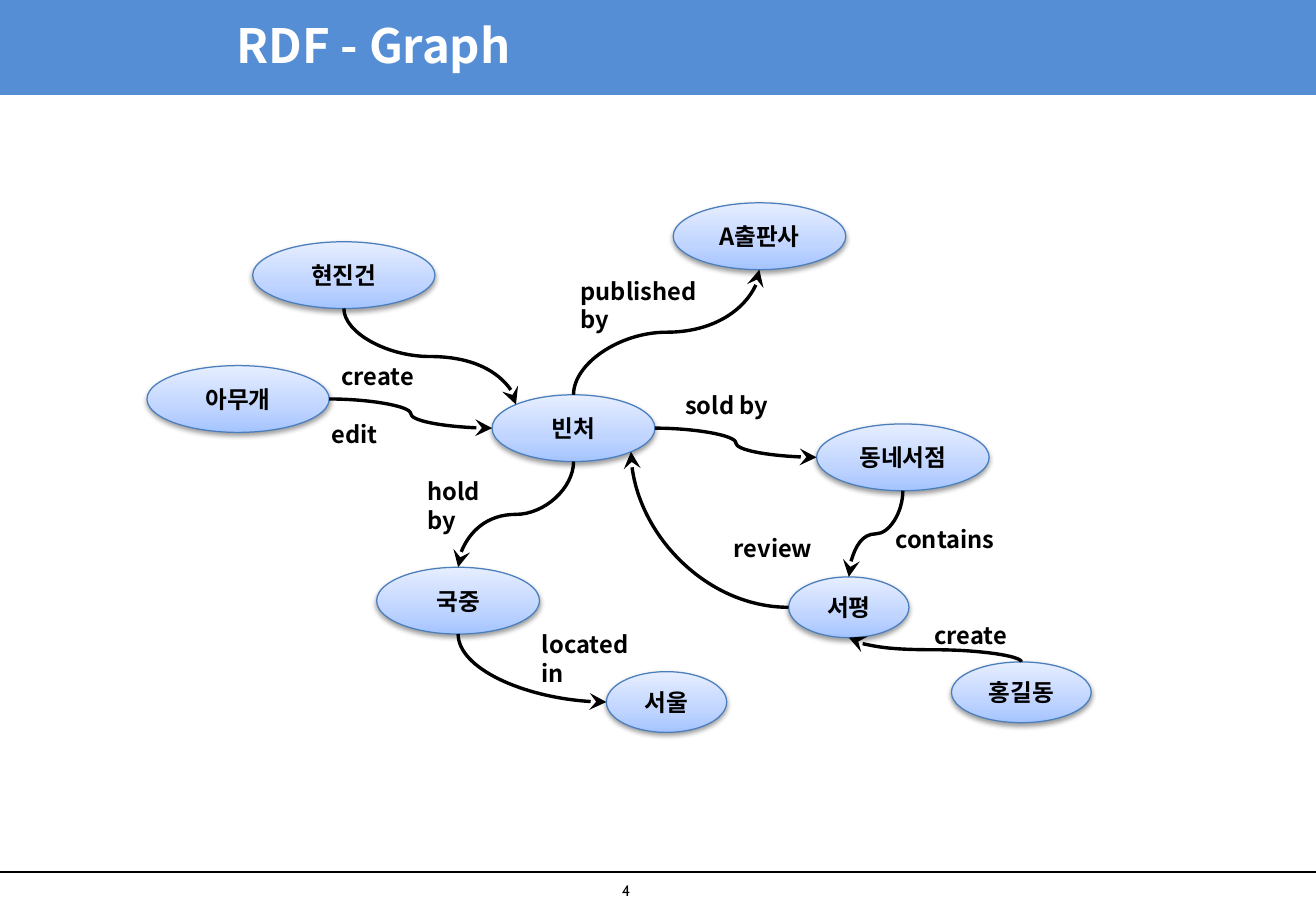
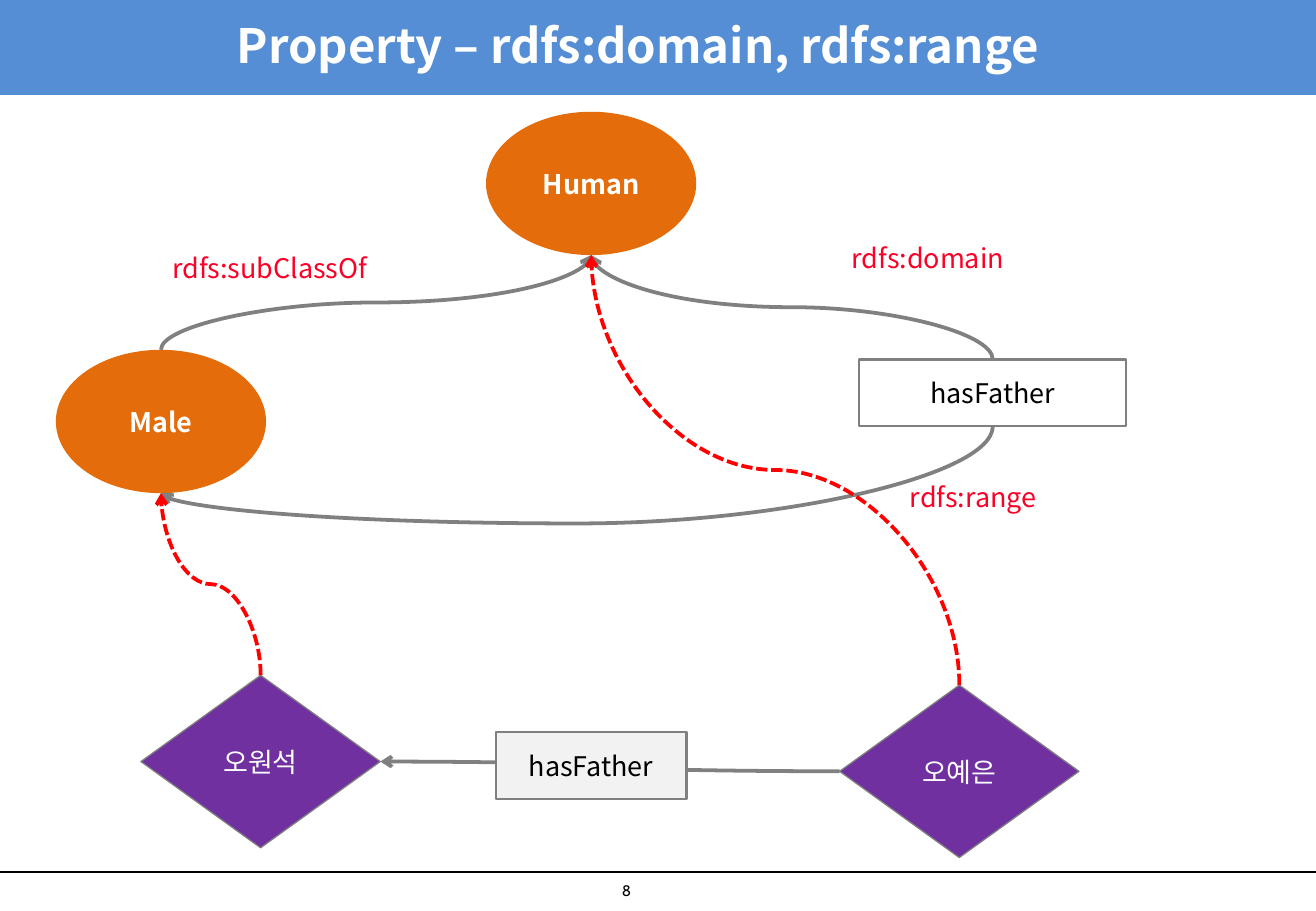
from dataclasses import dataclass
from math import sqrt
from typing import Any, Optional

import pptx
import pptx.dml.color
import pptx.enum.dml
import pptx.enum.shapes
import pptx.enum.text
import pptx.oxml.ns
import pptx.util
from lxml import etree

Inches = pptx.util.Inches
Pt = pptx.util.Pt
SHAPE = pptx.enum.shapes.MSO_SHAPE
CONNECTOR = pptx.enum.shapes.MSO_CONNECTOR
ANCHOR = pptx.enum.text.MSO_ANCHOR
ALIGN = pptx.enum.text.PP_ALIGN

WIDTH, HEIGHT = 10.83, 7.5
FONT, NUMBER_FONT = "Noto Sans CJK KR", "Cabin"
BLACK, WHITE, GRAY, RED = "000000", "FFFFFF", "808080", "FF0000"
BAND, LABEL_RED, ORANGE, PURPLE = "558ED5", "FC0128", "E46C0A", "7030A0"
NODE_STOPS = ((0, "A4C4FF"), (35, "BFD4FF"), (100, "E6EEFF"))
STEALTH_HEAD = {"type": "stealth", "w": "lg", "len": "lg"}
OPEN_HEAD = {"type": "arrow"}

# Connection sites: index and offset from the centre in half widths and heights
DIAGONAL = 1 / sqrt(2)
ELLIPSE_SITES = {
    "top": (0, 0, -1), "top left": (1, -DIAGONAL, -DIAGONAL), "left": (2, -1, 0),
    "bottom": (4, 0, 1), "bottom right": (5, DIAGONAL, DIAGONAL), "right": (6, 1, 0),
}
FOUR_SITES = {"top": (0, 0, -1), "left": (1, -1, 0), "bottom": (2, 0, 1), "right": (3, 1, 0)}


@dataclass(frozen=True)
class Style:
    kind: Any
    fill: Optional[str]
    line: Optional[str]
    line_pt: float
    size: int
    color: str
    bold: bool = False
    glossy: bool = False


@dataclass(frozen=True)
class Node:
    text: str
    x: float
    y: float
    w: float
    h: float
    style: Style


@dataclass(frozen=True)
class Label:
    text: str
    x: float
    y: float
    w: float
    h: float = 0.3


@dataclass(frozen=True)
class Curve:
    start: str
    start_side: str
    end: str
    end_side: str
    color: str = GRAY
    dashed: bool = False
    bend: Optional[float] = 0.5  # None gives a single quarter turn


RESOURCE = Style(SHAPE.OVAL, None, "4B7EBC", 0.75, 14, BLACK, True, True)
CLASS = Style(SHAPE.OVAL, ORANGE, None, 0, 16, WHITE, True)
PROPERTY = Style(SHAPE.RECTANGLE, None, GRAY, 1.25, 16, BLACK)
STATEMENT = Style(SHAPE.RECTANGLE, "F2F2F2", GRAY, 1.25, 16, BLACK)
INSTANCE = Style(SHAPE.DIAMOND, PURPLE, GRAY, 0.75, 16, WHITE)

GRAPH_NODES = {
    "book": Node("빈처", 4.05, 3.25, 1.34, 0.55, RESOURCE),
    "publisher": Node("A출판사", 5.54, 1.67, 1.42, 0.55, RESOURCE),
    "author": Node("현진건", 2.08, 1.99, 1.5, 0.55, RESOURCE),
    "store": Node("동네서점", 6.72, 3.49, 1.42, 0.55, RESOURCE),
    "library": Node("국중", 3.1, 4.67, 1.34, 0.55, RESOURCE),
    "city": Node("서울", 4.99, 5.53, 0.99, 0.5, RESOURCE),
    "editor": Node("아무개", 1.21, 3.01, 1.5, 0.55, RESOURCE),
    "review": Node("서평", 6.49, 4.75, 0.99, 0.5, RESOURCE),
    "reviewer": Node("홍길동", 7.83, 5.45, 1.15, 0.5, RESOURCE),
}
GRAPH_CURVES = (
    Curve("book", "right", "store", "left", BLACK),
    Curve("author", "bottom", "book", "top left", BLACK),
    Curve("book", "top", "publisher", "bottom", BLACK),
    Curve("book", "bottom", "library", "top", BLACK),
    Curve("library", "bottom", "city", "left", BLACK, bend=None),
    Curve("editor", "right", "book", "left", BLACK),
    Curve("store", "bottom", "review", "top", BLACK),
    Curve("reviewer", "top", "review", "bottom", BLACK),
    Curve("review", "left", "book", "bottom right", BLACK, bend=None),
)
GRAPH_LABELS = (
    Label("published by", 4.68, 2.23, 1.26, 0.5),
    Label("create", 2.71, 2.93, 1.18),
    Label("sold by", 5.54, 3.17, 1.02),
    Label("hold by", 3.42, 3.88, 0.65, 0.5),
    Label("located in", 4.36, 5.14, 1.02, 0.5),
    Label("edit", 2.63, 3.41, 1.18),
    Label("contains", 7.27, 4.27, 1.2),
    Label("create", 7.59, 5.06, 1.02),
    Label("review", 5.94, 4.35, 1.02),
)

SCHEMA_NODES = {
    "human": Node("Human", 4, 0.92, 1.73, 1.18, CLASS),
    "male": Node("Male", 0.46, 2.88, 1.73, 1.18, CLASS),
    "property": Node("hasFather", 7.07, 2.96, 2.2, 0.55, PROPERTY),
    "father": Node("오원석", 1.16, 5.56, 1.97, 1.42, INSTANCE),
    "child": Node("오예은", 6.91, 5.64, 1.97, 1.42, INSTANCE),
}
SCHEMA_CURVES = (
    Curve("male", "top", "human", "bottom"),
    Curve("property", "top", "human", "bottom"),
    Curve("property", "bottom", "male", "bottom", bend=1.454),
    Curve("child", "left", "father", "right"),
    Curve("child", "top", "human", "bottom", RED, True),
    Curve("father", "top", "male", "bottom", RED, True),
)
SCHEMA_LABELS = (
    Label("rdfs:subClassOf", 1.32, 2.02, 2.1, 0.37),
    Label("rdfs:domain", 6.91, 1.94, 1.7, 0.37),
    Label("rdfs:range", 7.39, 3.91, 1.5, 0.37),
)
FATHER_STATEMENT = Node("hasFather", 4.08, 6.03, 1.57, 0.55, STATEMENT)


def rgb(color: str) -> pptx.dml.color.RGBColor:
    return pptx.dml.color.RGBColor.from_string(color)


def sub(parent: Any, tag: str, **attrs: Any) -> Any:
    """Append an XML child element and return it."""
    return etree.SubElement(parent, pptx.oxml.ns.qn(tag), {k: str(v) for k, v in attrs.items()})


def write(s: Any, text: str, size: int, color: str, bold: bool = False,
          font: str = FONT, align: Any = ALIGN.LEFT, **frame: Any) -> None:
    tf = s.text_frame
    for name, value in {"word_wrap": True, **frame}.items():
        setattr(tf, name, value)
    p = tf.paragraphs[0]
    p.alignment = align
    r = p.add_run()
    r.text = text
    for name, value in {"name": font, "size": Pt(size), "bold": bold}.items():
        setattr(r.font, name, value)
    r.font.color.rgb = rgb(color)
    sub(r.font._element, "a:ea", typeface=font)


def add_text(slide: Any, label: Label, size: int, color: str, **options: Any) -> None:
    box = slide.shapes.add_textbox(*map(Inches, (label.x, label.y, label.w, label.h)))
    write(box, label.text, size, color, **options)


def add_gloss(s: Any) -> None:
    """Give a shape the blue vertical gradient and soft shadow."""
    s.fill.gradient()
    s.fill.gradient_angle = 90
    stops = s._element.spPr.xpath(".//a:gsLst")[0]
    for stop in list(stops):
        stops.remove(stop)
    for pos, color in NODE_STOPS:
        sub(sub(stops, "a:gs", pos=pos * 1000), "a:srgbClr", val=color)
    effects = s._element.spPr.xpath("./a:effectLst")[0]
    shadow = sub(effects, "a:outerShdw", blurRad=Pt(3.1), dist=Pt(1.6), dir=90 * 60000, rotWithShape=0)
    sub(sub(shadow, "a:srgbClr", val=BLACK), "a:alpha", val=38000)


def add_node(slide: Any, node: Node) -> Any:
    style = node.style
    s = slide.shapes.add_shape(style.kind, *map(Inches, (node.x, node.y, node.w, node.h)))
    s.shadow.inherit = False
    if style.line:
        s.line.color.rgb = rgb(style.line)
        s.line.width = Pt(style.line_pt)
    else:
        s.line.fill.background()
    if style.glossy:
        add_gloss(s)
    elif style.fill:
        s.fill.solid()
        s.fill.fore_color.rgb = rgb(style.fill)
    else:
        s.fill.background()
    if node.text:
        write(s, node.text, style.size, style.color, style.bold, align=ALIGN.CENTER,
              vertical_anchor=ANCHOR.MIDDLE, margin_left=0, margin_right=0)
    return s


def site(node: Node, side: str) -> tuple[int, float, float]:
    """Index and position of a connection site."""
    sites = ELLIPSE_SITES if node.style.kind == SHAPE.OVAL else FOUR_SITES
    idx, dx, dy = sites[side]
    return idx, node.x + node.w * (1 + dx) / 2, node.y + node.h * (1 + dy) / 2


def add_line(slide: Any, kind: Any, ends: tuple[float, ...], color: str, width: float) -> Any:
    c = slide.shapes.add_connector(kind, *map(Inches, ends))
    c.line.color.rgb = rgb(color)
    c.line.width = Pt(width)
    sub(c._element.spPr, "a:effectLst")
    return c


def add_curve(slide: Any, curve: Curve, nodes: dict[str, Node], shapes: dict[str, Any],
              width: float, head: dict[str, str]) -> None:
    start_idx, x1, y1 = site(nodes[curve.start], curve.start_side)
    end_idx, x2, y2 = site(nodes[curve.end], curve.end_side)
    c = add_line(slide, CONNECTOR.CURVE, (x1, y1, x2, y2), curve.color, width)
    joints = c._element.xpath(".//p:cNvCxnSpPr")[0]
    sub(joints, "a:stCxn", id=shapes[curve.start].shape_id, idx=start_idx)
    sub(joints, "a:endCxn", id=shapes[curve.end].shape_id, idx=end_idx)

    if curve.start_side in ("top", "bottom"):  # leaves vertically: turn the frame
        w, h = abs(y2 - y1), abs(x2 - x1)
        down = y2 > y1
        turn = {"rot": (90 if down else 270) * 60000, "flipH": 0, "flipV": int(down == (x2 > x1))}
        frame = {"left": (x1 + x2 - w) / 2, "top": (y1 + y2 - h) / 2, "width": w, "height": h}
        for name, value in frame.items():
            setattr(c, name, Inches(value))
    else:
        turn = {"flipH": int(x2 < x1), "flipV": int(y2 < y1)}
    xfrm = c._element.spPr.xpath("./a:xfrm")[0]
    for name, value in turn.items():
        xfrm.set(name, str(value))

    geom = c._element.spPr.xpath("./a:prstGeom")[0]
    if curve.bend is None:
        geom.set("prst", "curvedConnector2")
    else:
        guides = geom.xpath("./a:avLst")[0]
        sub(guides, "a:gd", name="adj1", fmla=f"val {round(curve.bend * 100000)}")
    if curve.dashed:
        c.line.dash_style = pptx.enum.dml.MSO_LINE.SQUARE_DOT
    sub(c._element.spPr.xpath("./a:ln")[0], "a:tailEnd", **head)


def add_slide(prs: Any, title: str, number: int) -> Any:
    """Add a slide with the title band, footer rule and page number."""
    slide = prs.slides.add_slide(prs.slide_layouts[6])
    band = Style(SHAPE.RECTANGLE, BAND, BAND, 2, 28, WHITE)
    add_node(slide, Node("", 0, -0.03, WIDTH, 0.8, band))
    add_text(slide, Label(title, 1.85, -0.03, 8.84, 0.8), 28, WHITE, bold=True,
             vertical_anchor=ANCHOR.MIDDLE)
    add_line(slide, CONNECTOR.STRAIGHT, (0, 7.18, WIDTH, 7.18), BLACK, 0.75)
    add_text(slide, Label(str(number), 5.02, 7.21, 0.39, 0.25), 9, BLACK,
             font=NUMBER_FONT, word_wrap=False)
    return slide


def add_diagram(slide: Any, nodes: dict[str, Node], curves: tuple[Curve, ...],
                width: float, head: dict[str, str]) -> None:
    shapes = {name: add_node(slide, node) for name, node in nodes.items()}
    for curve in curves:
        add_curve(slide, curve, nodes, shapes, width, head)


def main() -> None:
    prs = pptx.Presentation()
    prs.slide_width, prs.slide_height = Inches(WIDTH), Inches(HEIGHT)

    slide = add_slide(prs, "RDF - Graph", 4)
    add_diagram(slide, GRAPH_NODES, GRAPH_CURVES, 2, STEALTH_HEAD)
    for label in GRAPH_LABELS:
        add_text(slide, label, 14, BLACK, bold=True)

    slide = add_slide(prs, "Property – rdfs:domain, rdfs:range", 8)
    add_diagram(slide, SCHEMA_NODES, SCHEMA_CURVES, 2.25, OPEN_HEAD)
    add_node(slide, FATHER_STATEMENT)
    for label in SCHEMA_LABELS:
        add_text(slide, label, 16, LABEL_RED)

    prs.save("out.pptx")


if __name__ == "__main__":
    main()
